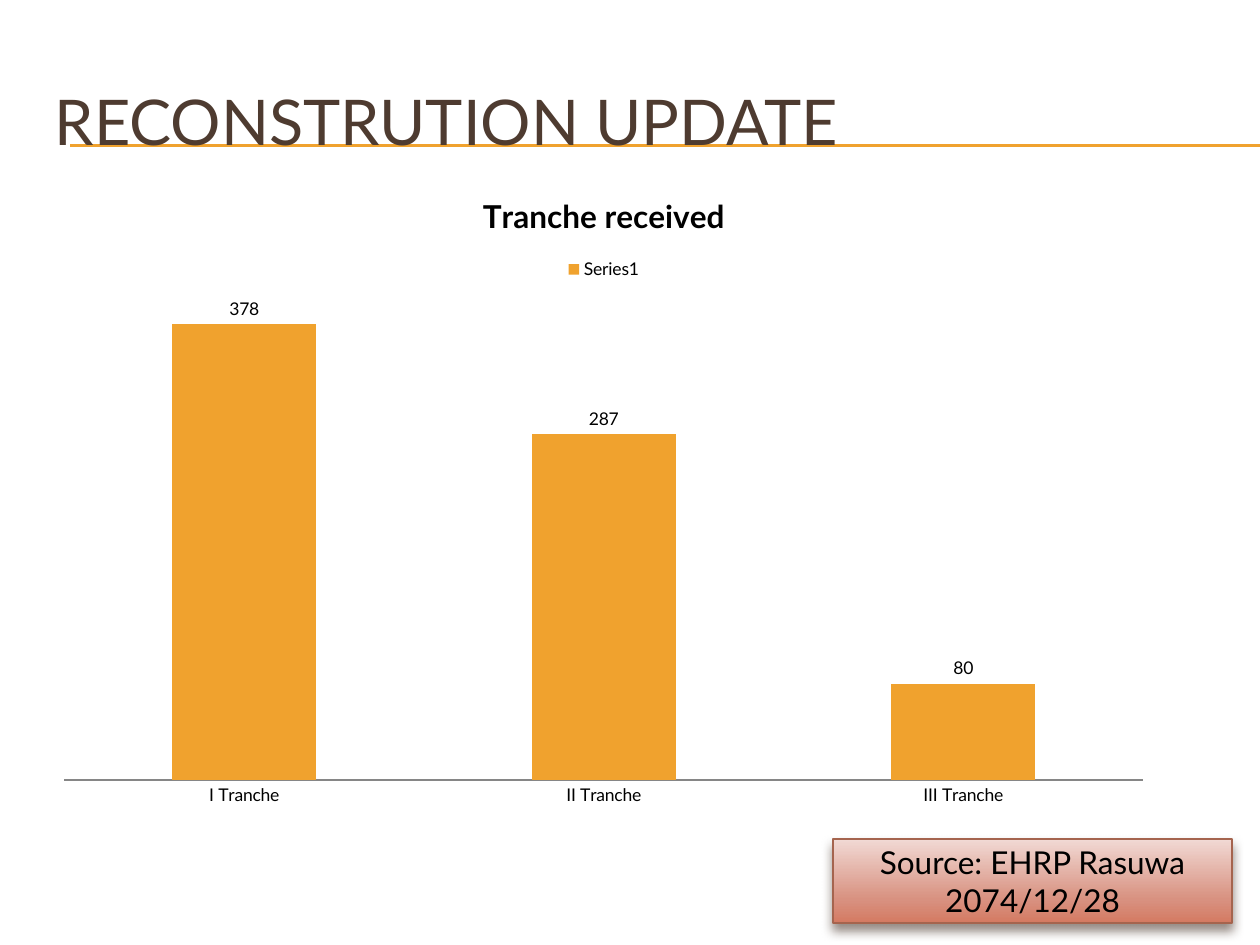
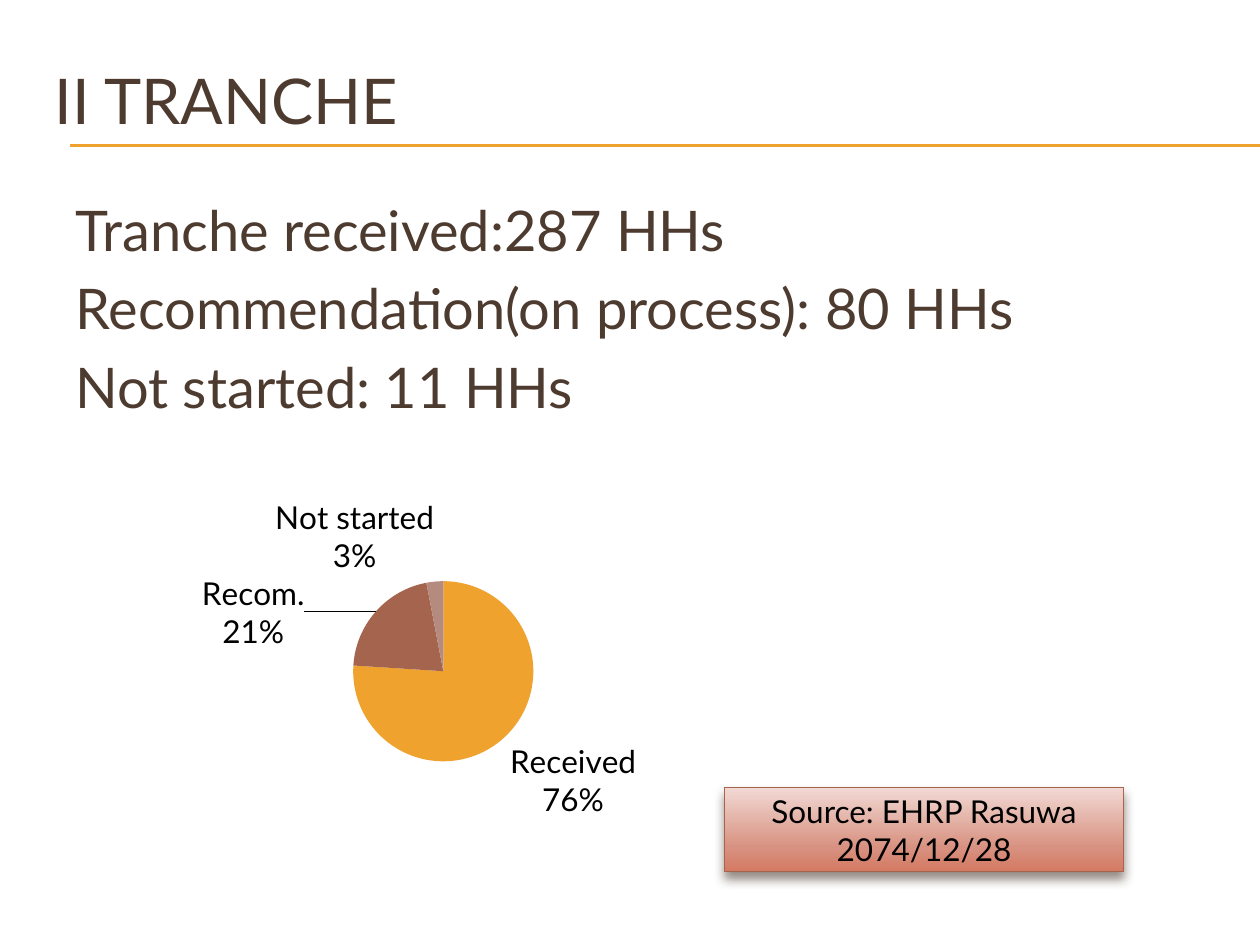
from lxml.etree import SubElement
from pptx import Presentation
from pptx.chart.data import CategoryChartData
from pptx.dml.color import RGBColor
from pptx.enum.chart import XL_CHART_TYPE, XL_LABEL_POSITION, XL_LEGEND_POSITION, XL_TICK_MARK
from pptx.enum.shapes import MSO_CONNECTOR, MSO_SHAPE
from pptx.enum.text import MSO_ANCHOR, MSO_AUTO_SIZE, PP_ALIGN
from pptx.oxml.ns import qn
from pptx.util import Pt

FONT = "Lato"
BROWN = "4E3B30"
ORANGE = "F0A22E"
RUST = "A5644E"
ROSE = "B58B80"
BLACK = "000000"
GRAY = "868686"
SOURCE_GRADIENT = [(0, "F1D9D4"), (72, "D89180"), (100, "D47A62")]
SOURCE_LINES = ["Source: EHRP Rasuwa", "2074/12/28"]


def color(value):
    return RGBColor.from_string(value)


def set_values(target, values):
    for name, value in values.items():
        setattr(target, name, value)


def place(shape, left, top, width, height):
    box = {"left": left, "top": top, "width": width, "height": height}
    set_values(shape, {name: Pt(value) for name, value in box.items()})


def format_font(font, size, value, bold=False):
    set_values(font, {"name": FONT, "size": Pt(size), "bold": bold})
    font.color.rgb = color(value)


def write_lines(shape, lines, size, value, frame_format, paragraph_format, gap=0):
    frame = shape.text_frame
    frame.text = "\n".join(lines)
    set_values(frame, {"word_wrap": True, "auto_size": MSO_AUTO_SIZE.NONE, **frame_format})
    for index, paragraph in enumerate(frame.paragraphs):
        set_values(paragraph, {"space_before": Pt(gap if index else 0), **paragraph_format})
        format_font(paragraph.font, size, value)


def add_rule(slide, top):
    rule = slide.shapes.add_connector(
        MSO_CONNECTOR.STRAIGHT, Pt(40.3), Pt(top), Pt(720), Pt(top)
    )
    rule.line.width = Pt(0.75)
    rule.line.color.rgb = color(ORANGE)
    SubElement(rule.element.spPr, qn("a:effectLst"))


def add_titled_slide(presentation, text, top):
    slide = presentation.slides.add_slide(presentation.slide_layouts[5])
    for rule_top in (82.8, 83.5):
        add_rule(slide, rule_top)
    title = slide.shapes.title
    title.element.getparent().append(title.element)
    place(title, 24, top, 684, 66)
    write_lines(title, [text], 36, BROWN,
                {"vertical_anchor": MSO_ANCHOR.MIDDLE}, {"alignment": PP_ALIGN.LEFT})
    return slide


def add_color_element(parent, value):
    return SubElement(parent, qn("a:srgbClr"), val=value)


def add_source_box(slide, left, top):
    box = slide.shapes.add_shape(MSO_SHAPE.RECTANGLE, Pt(left), Pt(top), Pt(228), Pt(48))
    box.fill.gradient()
    box.fill.gradient_angle = 270
    stops = box.element.spPr.find(".//" + qn("a:gsLst"))
    for stop in list(stops):
        stops.remove(stop)
    for position, value in SOURCE_GRADIENT:
        add_color_element(SubElement(stops, qn("a:gs"), pos=str(position * 1000)), value)
    box.line.width = Pt(0.79)
    box.line.color.rgb = color(RUST)
    box.shadow.inherit = False
    effects = box.element.spPr.find(qn("a:effectLst"))
    shadow = SubElement(effects, qn("a:outerShdw"), blurRad=str(Pt(6)), dist=str(Pt(4)),
                        dir="5400000", rotWithShape="0")
    SubElement(add_color_element(shadow, BROWN), qn("a:alpha"), val="60000")
    write_lines(box, SOURCE_LINES, 18, BLACK,
                {"vertical_anchor": MSO_ANCHOR.MIDDLE}, {"alignment": PP_ALIGN.CENTER})


def add_chart(slide, chart_type, box, categories, series_name, values, size):
    data = CategoryChartData()
    data.categories = categories
    data.add_series(series_name, values)
    chart = slide.shapes.add_chart(chart_type, *map(Pt, box), data).chart
    format_font(chart.font, size, BLACK)
    return chart


def format_labels(series, size, values):
    labels = series.data_labels
    set_values(labels, {"position": XL_LABEL_POSITION.OUTSIDE_END, **values})
    format_font(labels.font, size, BLACK)


def fill_solid(target, value):
    target.format.fill.solid()
    target.format.fill.fore_color.rgb = color(value)


def add_manual_layout(layout, values):
    manual = SubElement(layout, qn("c:manualLayout"))
    for name, value in values.items():
        SubElement(manual, qn("c:" + name), val=str(value))


def add_tranche_chart(slide):
    chart = add_chart(slide, XL_CHART_TYPE.COLUMN_CLUSTERED, (24, 96, 642, 372),
                      ["I Tranche", "II Tranche", "III Tranche"], "Series1",
                      [378, 287, 80], 10)
    chart.has_title = True
    chart.chart_title.text_frame.text = "Tranche received"
    format_font(chart.chart_title.text_frame.paragraphs[0].font, 18, BLACK, True)
    chart.has_legend = True
    set_values(chart.legend, {"position": XL_LEGEND_POSITION.TOP, "include_in_layout": False})
    set_values(chart.value_axis, {"visible": False, "has_major_gridlines": False,
                                  "minimum_scale": 0, "maximum_scale": 400})
    set_values(chart.category_axis, {"major_tick_mark": XL_TICK_MARK.NONE})
    chart.category_axis.format.line.color.rgb = color(GRAY)
    plot = chart.plots[0]
    set_values(plot, {"gap_width": 150, "overlap": -25, "vary_by_categories": False})
    fill_solid(plot.series[0], ORANGE)
    format_labels(plot.series[0], 10, {"show_value": True})


def add_status_chart(slide):
    chart = add_chart(slide, XL_CHART_TYPE.PIE, (24, 252, 468, 227),
                      ["Received", "Recommendation", "Not started"], "Series 1",
                      [76, 21, 3], 18)
    set_values(chart, {"has_title": False, "has_legend": False})
    plot = chart.plots[0]
    plot.vary_by_categories = True
    series = plot.series[0]
    for index, value in enumerate((ORANGE, RUST, ROSE)):
        fill_solid(series.points[index], value)
    format_labels(series, 18, {"show_value": False, "show_percentage": True,
                               "show_category_name": True, "number_format": "0%",
                               "number_format_is_linked": False})
    label = series.points[1].data_label
    label.text_frame.text = "Recom.\n21%"
    for paragraph in label.text_frame.paragraphs:
        format_font(paragraph.font, 18, BLACK)
    label.position = XL_LABEL_POSITION.OUTSIDE_END

    labels = series.data_labels._element
    separator = SubElement(labels, qn("c:separator"))
    separator.text = "\n"
    labels.find(qn("c:showBubbleSize")).addnext(separator)
    point_label = labels.find(qn("c:dLbl"))
    label_layout = point_label.find(qn("c:layout"))
    if label_layout is None:
        label_layout = SubElement(point_label, qn("c:layout"))
        point_label.find(qn("c:idx")).addnext(label_layout)
    add_manual_layout(label_layout, {"x": -0.08, "y": 0.11})

    plot_area = plot._element.getparent()
    plot_layout = plot_area.find(qn("c:layout"))
    if plot_layout is None:
        plot_layout = SubElement(plot_area, qn("c:layout"))
        plot_area.insert(0, plot_layout)
    add_manual_layout(plot_layout, {"layoutTarget": "inner", "xMode": "edge", "yMode": "edge",
                                    "x": 0.38, "y": 0.35, "w": 0.22, "h": 0.46})


def add_household_list(slide):
    body = slide.shapes.add_textbox(Pt(36), Pt(108), Pt(648), Pt(330))
    write_lines(body, ["Tranche received:287 HHs", "Recommendation(on process): 80 HHs",
                       "Not started: 11 HHs"],
                32, BROWN, {"vertical_anchor": MSO_ANCHOR.TOP}, {}, 6.4)


def main():
    presentation = Presentation()
    set_values(presentation, {"slide_width": Pt(720), "slide_height": Pt(540)})

    update_slide = add_titled_slide(presentation, "RECONSTRUTION UPDATE", 36)
    add_tranche_chart(update_slide)
    add_source_box(update_slide, 476, 479.5)

    second_tranche_slide = add_titled_slide(presentation, "II TRANCHE", 24)
    add_status_chart(second_tranche_slide)
    add_household_list(second_tranche_slide)
    add_source_box(second_tranche_slide, 414, 450)

    presentation.save("out.pptx")


if __name__ == "__main__":
    main()
